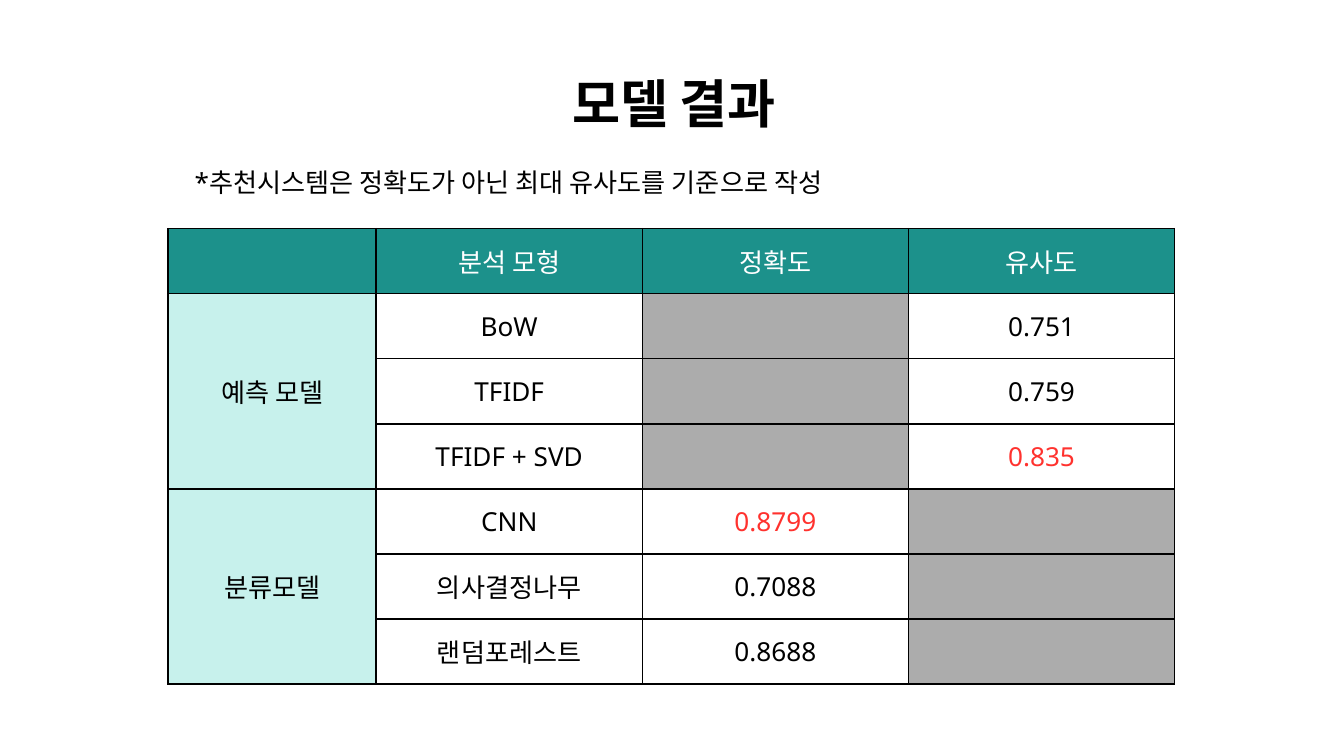
import pptx
import pptx.dml.color
import pptx.enum.text
import pptx.oxml
import pptx.oxml.ns
import pptx.util
from pptx.util import Cm

COLORS = {
    "black": "000000",
    "white": "FFFFFF",
    "header": "1C918B",
    "group": "C7F1EC",
    "unused": "ACACAC",
    "best": "FF322E",
}
BEST_SCORES = ("0.835", "0.8799")
ROWS = [
    ("", "분석 모형", "정확도", "유사도"),
    ("예측 모델", "BoW", "", "0.751"),
    ("", "TFIDF", "", "0.759"),
    ("", "TFIDF + SVD", "", "0.835"),
    ("분류모델", "CNN", "0.8799", ""),
    ("", "의사결정나무", "0.7088", ""),
    ("", "랜덤포레스트", "0.8688", ""),
]
GROUP_SIZE = 3
COL_WIDTHS = [Cm(3.93)] + [Cm(5.03)] * 3
ROW_HEIGHT = Cm(1.23)


def rgb(name):
    return pptx.dml.color.RGBColor.from_string(COLORS[name])


def style_paragraph(p, size, font, color, bold=False, centered=True):
    align = pptx.enum.text.PP_ALIGN
    p.alignment = align.CENTER if centered else align.LEFT
    p.font.size = pptx.util.Pt(size)
    p.font.name = font
    p.font.bold = bold
    p.font.color.rgb = rgb(color)


def add_text(s, box, text, anchor, **style):
    tf = s.shapes.add_textbox(*box).text_frame
    tf.word_wrap = True
    tf.vertical_anchor = anchor
    tf.margin_left = tf.margin_right = Cm(0.25)
    tf.margin_top = tf.margin_bottom = Cm(0.25)
    p = tf.paragraphs[0]
    p.text = text
    style_paragraph(p, **style)


def set_borders(cell):
    tc_pr = cell._tc.get_or_add_tcPr()
    for i, side in enumerate(("lnL", "lnR", "lnT", "lnB")):
        # Border lines must come before the fill
        tc_pr.insert(i, pptx.oxml.parse_xml(
            f'<a:{side} {pptx.oxml.ns.nsdecls("a")} w="{pptx.util.Pt(1)}">'
            f'<a:solidFill><a:srgbClr val="{COLORS["black"]}"/></a:solidFill>'
            f'</a:{side}>'))


def cell_colors(row, col, text):
    """Return the fill and text colour names of a cell."""
    if row == 0:
        return "header", "white"
    if col == 0:
        return "group", "black"
    if not text:
        return "unused", "black"
    return "white", "best" if text in BEST_SCORES else "black"


def add_results_table(s):
    table = s.shapes.add_table(
        len(ROWS), len(COL_WIDTHS), Cm(3.18), Cm(4.32),
        sum(COL_WIDTHS), ROW_HEIGHT * len(ROWS)).table
    for column, width in zip(table.columns, COL_WIDTHS):
        column.width = width
    for r, values in enumerate(ROWS):
        table.rows[r].height = ROW_HEIGHT
        for c, text in enumerate(values):
            cell = table.cell(r, c)
            fill, color = cell_colors(r, c, text)
            cell.fill.solid()
            cell.fill.fore_color.rgb = rgb(fill)
            cell.vertical_anchor = pptx.enum.text.MSO_ANCHOR.MIDDLE
            p = cell.text_frame.paragraphs[0]
            p.text = text
            style_paragraph(p, 14, "Noto Sans", color)
            set_borders(cell)
    # Each model group spans its rows in the first column
    for top in range(1, len(ROWS), GROUP_SIZE):
        table.cell(top, 0).merge(table.cell(top + GROUP_SIZE - 1, 0))


def main():
    prs = pptx.Presentation()
    prs.slide_width, prs.slide_height = Cm(25.4), Cm(14.29)
    s = prs.slides.add_slide(prs.slide_layouts[6])
    anchor = pptx.enum.text.MSO_ANCHOR

    # Title and note
    add_text(s, (Cm(2.24), Cm(1.14), Cm(21), Cm(1.6)), "모델 결과",
             anchor.MIDDLE, size=28, font="Arial", color="black", bold=True)
    add_text(s, (Cm(3.43), Cm(2.9), Cm(18), Cm(1.12)),
             "*추천시스템은 정확도가 아닌 최대 유사도를 기준으로 작성",
             anchor.TOP, size=14, font="Noto Sans", color="black",
             centered=False)

    # Model scores
    add_results_table(s)
    prs.save("out.pptx")


if __name__ == "__main__":
    main()
